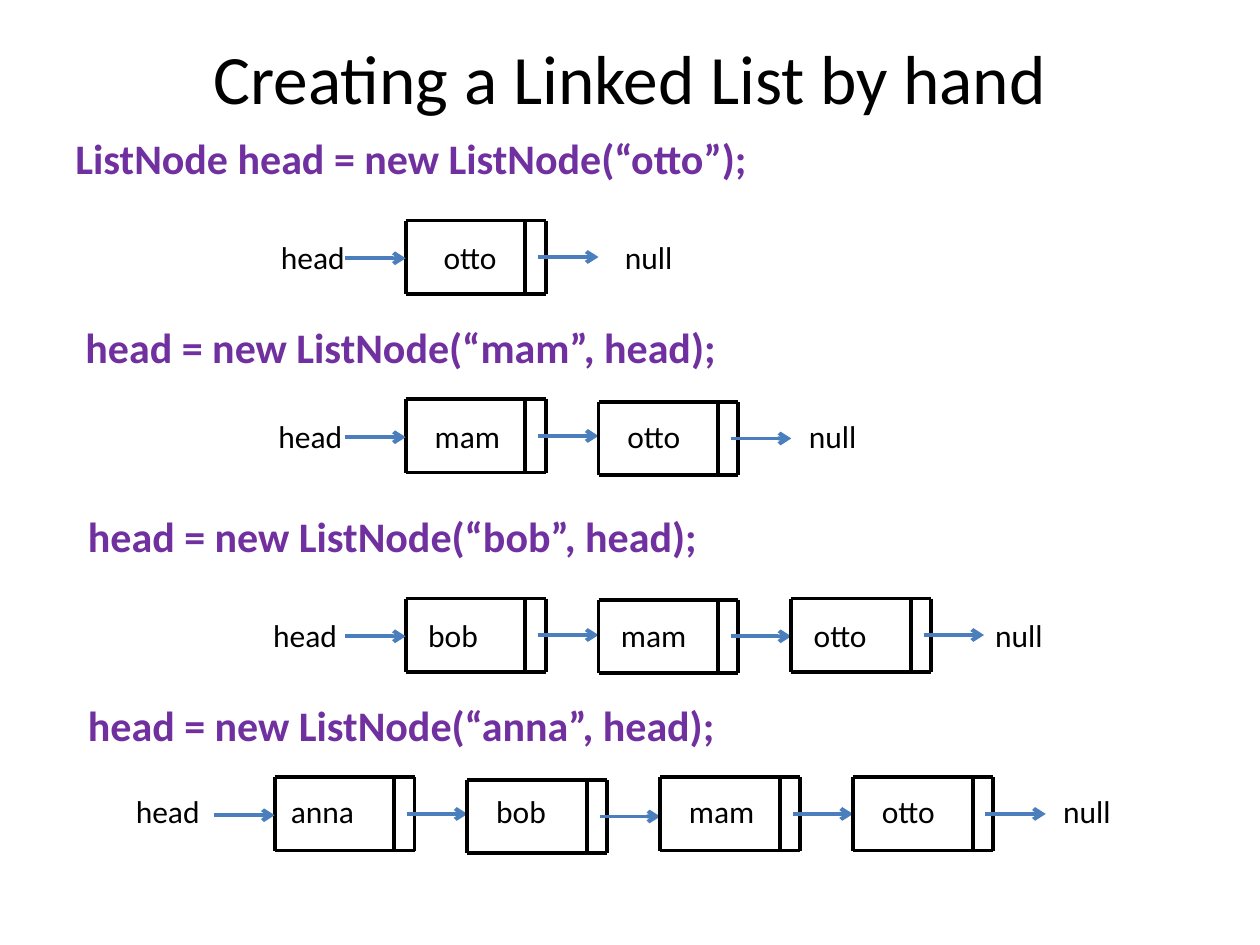
from lxml import etree
from pptx import Presentation
from pptx.dml.color import RGBColor
from pptx.enum.shapes import MSO_CONNECTOR
from pptx.enum.text import MSO_ANCHOR, PP_ALIGN
from pptx.oxml.ns import qn
from pptx.util import Inches, Pt

STRAIGHT = MSO_CONNECTOR.STRAIGHT
MIDDLE, TOP = MSO_ANCHOR.MIDDLE, MSO_ANCHOR.TOP
CENTER, LEFT = PP_ALIGN.CENTER, PP_ALIGN.LEFT

COLORS = {"text": "000000", "code": "7030A0", "node": "000000", "pointer": "4B7EBC"}
FORMATS = {
    "title": {"size": Pt(39.6), "bold": False},
    "code": {"size": Pt(24), "bold": True},
    "label": {"size": Pt(18), "bold": False},
}
NODE_WIDTH, NODE_HEIGHT, DIVIDER = 1.11, 0.58, 0.95
NODE_PITCH, POINTER_START, HEAD_LENGTH = 1.53, 1.05, 0.48

STATEMENTS = [
    ("ListNode head = new ListNode(“otto”);", (0.5, 1, 8.42, 0.67)),
    ("head = new ListNode(“mam”, head);", (0.58, 2.5, 8.75, 0.5)),
    ("head = new ListNode(“bob”, head);", (0.6, 4, 7.33, 0.5)),
    ("head = new ListNode(“anna”, head);", (0.6, 5.5, 5.23, 0.5)),
]
LISTS = [
    {"left": 3.22, "tops": [1.75], "box": (1, 1.84, 7.92, 0.4),
     "labels": {"head": 2.23, "otto": 3.52, "null": 4.96}},
    {"left": 3.22, "tops": [3.17, 3.19], "box": (2.06, 3.26, 4.94, 0.4),
     "labels": {"head": 2.21, "mam": 3.45, "otto": 4.98, "null": 6.42}},
    {"left": 3.22, "tops": [4.75, 4.76, 4.75], "box": (2.07, 4.84, 6.44, 0.4),
     "labels": {"head": 2.17, "bob": 3.4, "mam": 4.93, "otto": 6.46, "null": 7.9}},
    {"left": 2.18, "tops": [6.17, 6.19, 6.17, 6.17], "box": (0.98, 6.24, 8.36, 0.4),
     "labels": {"head": 1.08, "anna": 2.31, "bob": 3.94, "mam": 5.47, "otto": 7, "null": 8.44}},
]


class ListSlide:
    """Draws code statements and linked lists on one slide in a shared style."""

    def __init__(self, slide, font_name="Calibri", line_width=2.25):
        self.slide = slide
        self.font_name = font_name
        self.line_width = Pt(line_width)

    def text(self, words, box, style, color="text", align=LEFT, anchor=TOP):
        frame = self.slide.shapes.add_textbox(*map(Inches, box)).text_frame
        frame.word_wrap = True
        frame.vertical_anchor = anchor
        paragraph = frame.paragraphs[0]
        paragraph.alignment = align
        run = paragraph.add_run()
        run.text = words
        for name, value in {"name": self.font_name, **FORMATS[style]}.items():
            setattr(run.font, name, value)
        run.font.color.rgb = RGBColor.from_string(COLORS[color])
        return frame

    def labels(self, positions, box):
        frame = self.text("\t".join(positions), box, "label")
        start, *stops = positions.values()
        frame.margin_left = Inches(start - box[0])
        properties = frame.paragraphs[0]._p.get_or_add_pPr()
        tabs = etree.SubElement(properties, qn("a:tabLst"))
        for stop in stops:
            etree.SubElement(tabs, qn("a:tab"), pos=str(Inches(stop - start)), algn="l")

    def line(self, x1, y1, x2, y2, color="node"):
        connector = self.slide.shapes.add_connector(STRAIGHT, *map(Inches, (x1, y1, x2, y2)))
        connector.line.width = self.line_width
        connector.line.color.rgb = RGBColor.from_string(COLORS[color])
        etree.SubElement(connector.element.spPr, qn("a:effectLst"))
        return connector

    def pointer(self, start, end, y):
        connector = self.line(start, y, end, y, "pointer")
        outline = connector.element.spPr.find(qn("a:ln"))
        etree.SubElement(outline, qn("a:tailEnd"), type="arrow")

    def node(self, left, top):
        right, bottom = left + NODE_WIDTH, top + NODE_HEIGHT
        for y in (top, bottom):
            self.line(left, y, right, y)
        for x in (left, left + DIVIDER, right):
            self.line(x, top, x, bottom)
        self.pointer(left + POINTER_START, left + NODE_PITCH, top + NODE_HEIGHT / 2)

    def linked_list(self, left, tops, box, labels):
        for index, top in enumerate(tops):
            self.node(left + index * NODE_PITCH, top)
        self.pointer(left - HEAD_LENGTH, left, tops[0] + 0.3)
        self.labels(labels, box)


def main():
    presentation = Presentation()
    presentation.slide_width, presentation.slide_height = Inches(10), Inches(7.5)
    page = ListSlide(presentation.slides.add_slide(presentation.slide_layouts[6]))
    page.text("Creating a Linked List by hand", (0.5, 0.3, 9, 0.62), "title",
              align=CENTER, anchor=MIDDLE)
    for statement, box in STATEMENTS:
        page.text(statement, box, "code", "code")
    for linked_list in LISTS:
        page.linked_list(**linked_list)
    presentation.save("out.pptx")


if __name__ == "__main__":
    main()
